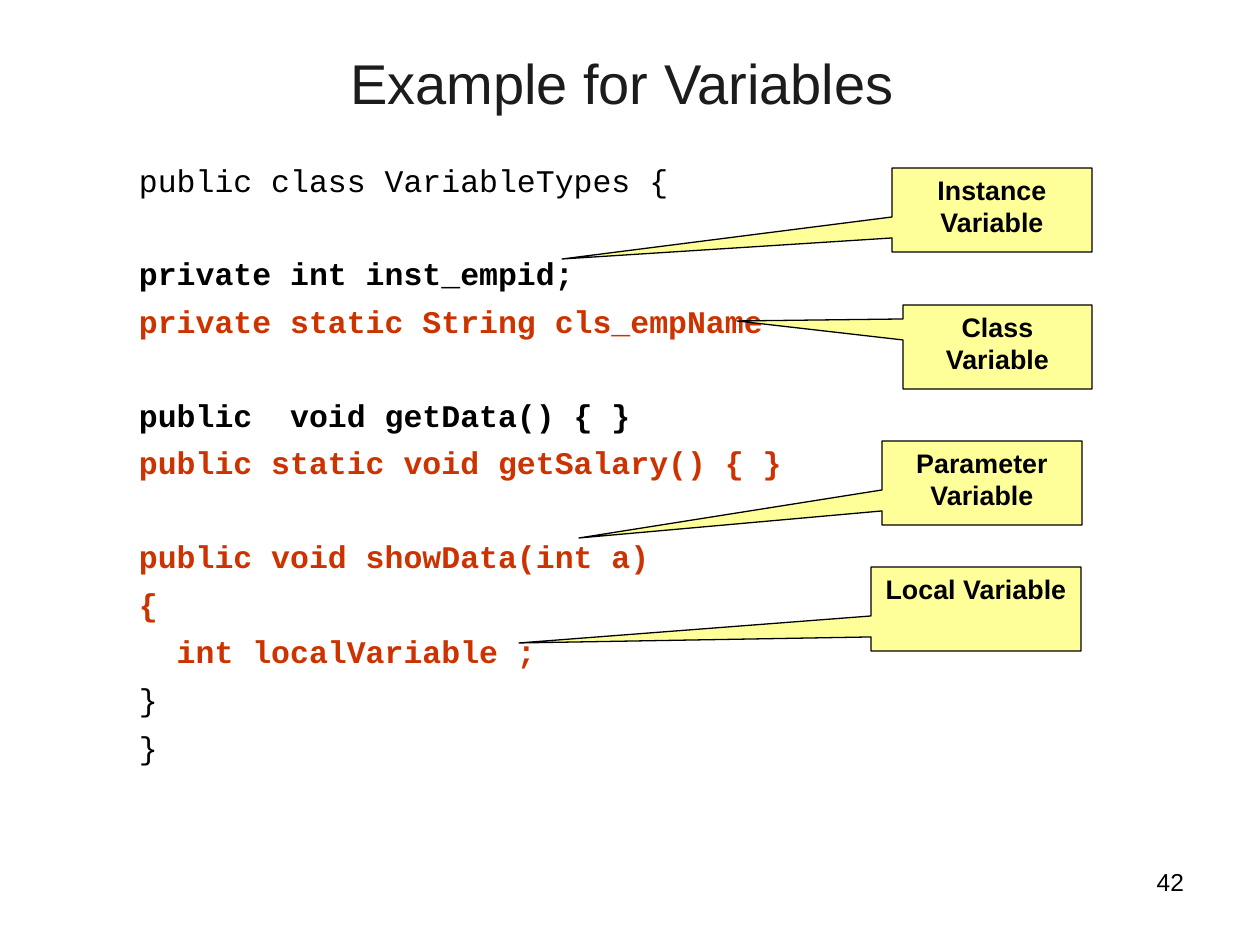
from pptx import Presentation
from pptx.dml.color import RGBColor
from pptx.enum.shapes import MSO_SHAPE
from pptx.enum.text import MSO_ANCHOR, PP_ALIGN
from pptx.util import Pt

PX = 914400 / 126
BLACK, RED, TITLE, YELLOW = "000000", "CC3300", "1C1C1C", "FFFF99"
LINE_GAP, BLOCK_GAP = 5.7, 31.8

# text, colour, bold, space before
CODE = [
    ("public class VariableTypes {", BLACK, False, 0),
    ("private int inst_empid;", BLACK, True, BLOCK_GAP),
    ("private static String cls_empName", RED, True, LINE_GAP),
    ("public  void getData() { }", BLACK, True, BLOCK_GAP),
    ("public static void getSalary() { }", RED, True, LINE_GAP),
    ("public void showData(int a)", RED, True, BLOCK_GAP),
    ("{", RED, True, LINE_GAP),
    ("  int localVariable ;", RED, True, LINE_GAP),
    ("}", BLACK, False, LINE_GAP),
    ("}", BLACK, False, LINE_GAP),
]

# text, left, top, width, point it refers to
CALLOUTS = [
    ("Instance Variable", 892, 168, 200, (562, 259)),
    ("Local Variable", 871, 567, 210, (519, 643)),
    ("Parameter Variable", 882, 441, 200, (579, 538)),
    ("Class Variable", 903, 305, 189, (737, 321)),
]
CALLOUT_HEIGHT = 84


def px(n):
    return round(n * PX)


def color(value):
    return RGBColor.from_string(value)


def put_text(p, text, size=18, font="Arial", fill=BLACK, bold=False,
             align=PP_ALIGN.LEFT, before=0):
    p.alignment = align
    p.space_before = Pt(before)
    r = p.add_run()
    r.text = text
    r.font.size = Pt(size)
    r.font.name = font
    r.font.bold = bold
    r.font.color.rgb = color(fill)


def set_frame(tf, left=13, top=6, anchor=MSO_ANCHOR.TOP):
    tf.word_wrap = True
    tf.vertical_anchor = anchor
    tf.margin_left, tf.margin_right = px(left), px(13)
    tf.margin_top, tf.margin_bottom = px(top), px(6)
    return tf


def add_title(slide, text):
    sp = slide.shapes.title
    sp.left, sp.top, sp.width, sp.height = px(63), px(38), px(1134), px(88)
    tf = set_frame(sp.text_frame, anchor=MSO_ANCHOR.MIDDLE)
    put_text(tf.paragraphs[0], text, size=32, fill=TITLE, align=PP_ALIGN.CENTER)


def add_code(slide):
    sp = slide.shapes.add_textbox(px(63), px(147), px(1134), px(697))
    tf = set_frame(sp.text_frame, left=76, top=14)
    for i, (text, fill, bold, before) in enumerate(CODE):
        p = tf.add_paragraph() if i else tf.paragraphs[0]
        put_text(p, text, font="Courier New", fill=fill, bold=bold, before=before)


def add_callout(slide, text, left, top, width, tip):
    sp = slide.shapes.add_shape(MSO_SHAPE.RECTANGULAR_CALLOUT, px(left), px(top),
                                px(width), px(CALLOUT_HEIGHT))
    sp.shadow.inherit = False
    sp.fill.solid()
    sp.fill.fore_color.rgb = color(YELLOW)
    sp.line.color.rgb = color(BLACK)
    sp.line.width = Pt(0.75)
    # The tip is measured from the centre as a share of the size
    sp.adjustments[0] = (tip[0] - left) / width - 0.5
    sp.adjustments[1] = (tip[1] - top) / CALLOUT_HEIGHT - 0.5
    tf = set_frame(sp.text_frame)
    put_text(tf.paragraphs[0], text, size=15.3, bold=True, align=PP_ALIGN.CENTER)


def add_page_number(slide, number):
    sp = slide.shapes.add_textbox(px(903), px(861), px(294), px(66))
    tf = set_frame(sp.text_frame)
    put_text(tf.paragraphs[0], number, size=14, align=PP_ALIGN.RIGHT)


def main():
    prs = Presentation()
    prs.slide_width, prs.slide_height = px(1260), px(945)
    slide = prs.slides.add_slide(prs.slide_layouts[5])

    # Page number, title and code
    add_page_number(slide, "42")
    add_title(slide, "Example for Variables ")
    add_code(slide)

    # Callouts naming each kind of variable
    for callout in CALLOUTS:
        add_callout(slide, *callout)

    prs.save("out.pptx")


if __name__ == "__main__":
    main()
